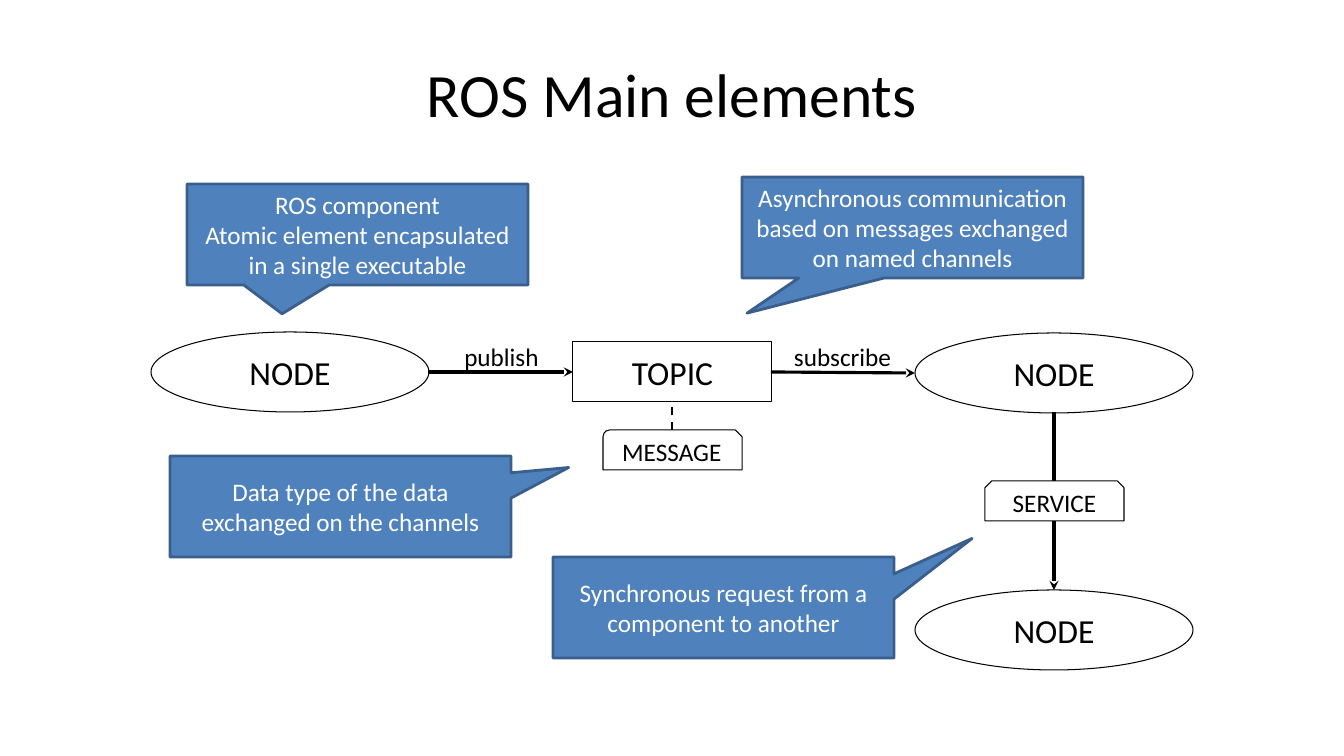
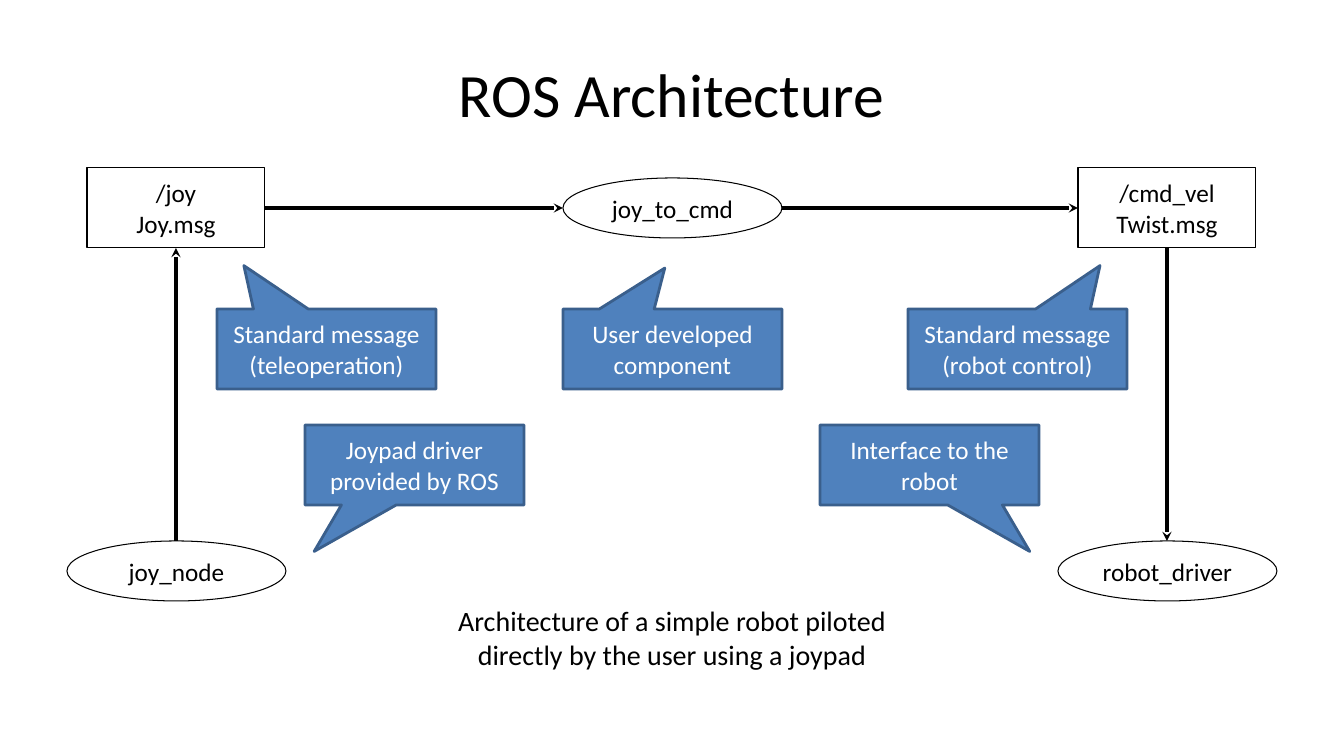
"""Build two slides on the elements and the architecture of ROS."""
from dataclasses import dataclass
from typing import Any, Optional

from lxml import etree
from pptx import Presentation
from pptx import util as u
from pptx.dml.color import RGBColor
from pptx.enum import dml, shapes, text
from pptx.oxml.ns import qn

BLACK = RGBColor(0, 0, 0)
WHITE = RGBColor(255, 255, 255)
BLUE = RGBColor(0x4F, 0x81, 0xBD)
NAVY = RGBColor(0x3A, 0x5F, 0x8C)
FONT = "Calibri"
SCALE = 914400 / 100.8
KIND = shapes.MSO_SHAPE
OVAL, RECT, CALL = KIND.OVAL, KIND.RECTANGLE, KIND.RECTANGULAR_CALLOUT
MID, TOP = text.MSO_ANCHOR.MIDDLE, text.MSO_ANCHOR.TOP


@dataclass(frozen=True)
class Box:
    words: str
    left: int
    top: int
    wide: int
    high: int
    kind: Any = RECT
    size: int = 18
    fill: Optional[RGBColor] = None


@dataclass(frozen=True)
class Call:
    words: str
    left: int
    top: int
    wide: int
    high: int
    tip: tuple[float, float]


@dataclass(frozen=True)
class Label:
    words: str
    left: int
    top: int
    wide: int
    high: int
    size: int = 18
    anchor: Any = TOP


@dataclass(frozen=True)
class Link:
    start: tuple[int, int]
    end: tuple[int, int]
    dash: bool = False


def px(num: float) -> int:
    return round(num * SCALE)


def place(item: Any) -> list[int]:
    return [px(n) for n in (item.left, item.top, item.wide, item.high)]


def style(part: Any, form: dict[str, Any]) -> None:
    for key, val in form.items():
        setattr(part, key, val)


def write(frame: Any, words: str, size: int, color: RGBColor, anchor: Any = MID) -> None:
    style(frame, {"word_wrap": True, "vertical_anchor": anchor, "text": words})
    for para in frame.paragraphs:
        para.alignment = text.PP_ALIGN.CENTER
        for run in para.runs:
            style(run.font, {"name": FONT, "size": u.Pt(size)})
            run.font.color.rgb = color


def paint(shape: Any, fill: Optional[RGBColor], edge: RGBColor, width: float) -> None:
    shape.shadow.inherit = False
    if fill is None:
        shape.fill.background()
    else:
        shape.fill.solid()
        shape.fill.fore_color.rgb = fill
    shape.line.color.rgb = edge
    shape.line.width = u.Pt(width)


def draw_box(slide: Any, box: Box) -> None:
    shape = slide.shapes.add_shape(box.kind, *place(box))
    paint(shape, box.fill, BLACK, 0.75)
    write(shape.text_frame, box.words, box.size, BLACK)


def draw_call(slide: Any, call: Call) -> None:
    shape = slide.shapes.add_shape(CALL, *place(call))
    for num, val in enumerate(call.tip):
        shape.adjustments[num] = val
    paint(shape, BLUE, NAVY, 2)
    write(shape.text_frame, call.words, 18, WHITE)


def draw_label(slide: Any, label: Label) -> None:
    frame = slide.shapes.add_textbox(*place(label)).text_frame
    write(frame, label.words, label.size, BLACK, label.anchor)


def draw_link(slide: Any, link: Link) -> None:
    ends = [px(n) for n in link.start + link.end]
    line = slide.shapes.add_connector(shapes.MSO_CONNECTOR.STRAIGHT, *ends)
    line.line.color.rgb = BLACK
    line.line.width = u.Pt(1.5 if link.dash else 2.25)
    props = line.element.spPr
    if link.dash:
        line.line.dash_style = dml.MSO_LINE.DASH
    else:
        etree.SubElement(props.find(qn("a:ln")), qn("a:tailEnd"), type="stealth")
    etree.SubElement(props, qn("a:effectLst"))


DRAW = {Box: draw_box, Call: draw_call, Label: draw_label, Link: draw_link}


def node(left: int, top: int) -> Box:
    return Box("NODE", left, top, 278, 80, OVAL, 24)


def part(words: str, left: int, top: int) -> Box:
    return Box(words, left, top, 219, 60, OVAL)


def topic(words: str, left: int) -> Box:
    return Box(words, left, 168, 178, 80)


def note(words: str, left: int, top: int, *tip: float) -> Call:
    return Call(words, left, top, 341, 101, tip)


def hint(words: str, left: int, top: int, *tip: float) -> Call:
    return Call(words, left, top, 219, 80, tip)


MAIN = [
    Link((428, 372), (573, 372)),
    Link((771, 372), (915, 373)),
    Link((672, 430), (672, 401), True),
    Link((1054, 412), (1054, 590)),
    note("Asynchronous communication based on messages exchanged on named channels",
         742, 177, -0.485, 0.848),
    note("ROS component\nAtomic element encapsulated in a single executable",
         187, 184, -0.221, 0.785),
    note("Data type of the data exchanged on the channels", 170, 456, 0.669, -0.386),
    note("Synchronous request from a component to another", 553, 557, 0.729, -0.684),
    node(151, 332),
    node(915, 333),
    node(915, 590),
    Box("TOPIC", 573, 342, 199, 60, size=24),
    Box("MESSAGE", 603, 430, 139, 40, KIND.SNIP_ROUND_RECTANGLE),
    Box("SERVICE", 985, 481, 139, 40, KIND.SNIP_2_SAME_RECTANGLE, fill=WHITE),
    Label("publish", 453, 336, 97, 40),
    Label("subscribe", 783, 336, 119, 40),
]

ROBOT = [
    part("joy_node", 67, 541),
    part("joy_to_cmd", 563, 178),
    part("robot_driver", 1058, 541),
    topic("/joy\nJoy.msg", 87),
    topic("/cmd_vel\nTwist.msg", 1078),
    hint("Joypad driver provided by ROS", 305, 425, -0.458, 1.081),
    hint("Interface to the robot", 820, 425, 0.458, 1.081),
    hint("Standard message\n(teleoperation)", 217, 309, -0.377, -1.042),
    hint("User developed component", 563, 309, -0.035, -1.011),
    hint("Standard message\n(robot control)", 908, 309, 0.377, -1.042),
    Link((176, 541), (176, 248)),
    Link((265, 208), (563, 208)),
    Link((782, 208), (1078, 208)),
    Link((1167, 248), (1167, 541)),
    Label("Architecture of a simple robot piloted directly by the user using a joypad",
          403, 599, 538, 78, 20),
]


def main() -> None:
    deck = Presentation()
    style(deck, {"slide_width": px(1344), "slide_height": px(756)})
    for title, items in (("ROS Main elements", MAIN), ("ROS Architecture", ROBOT)):
        slide = deck.slides.add_slide(deck.slide_layouts[6])
        for item in [Label(title, 67, 30, 1210, 126, 44, MID), *items]:
            DRAW[type(item)](slide, item)
    deck.save("out.pptx")


main()
